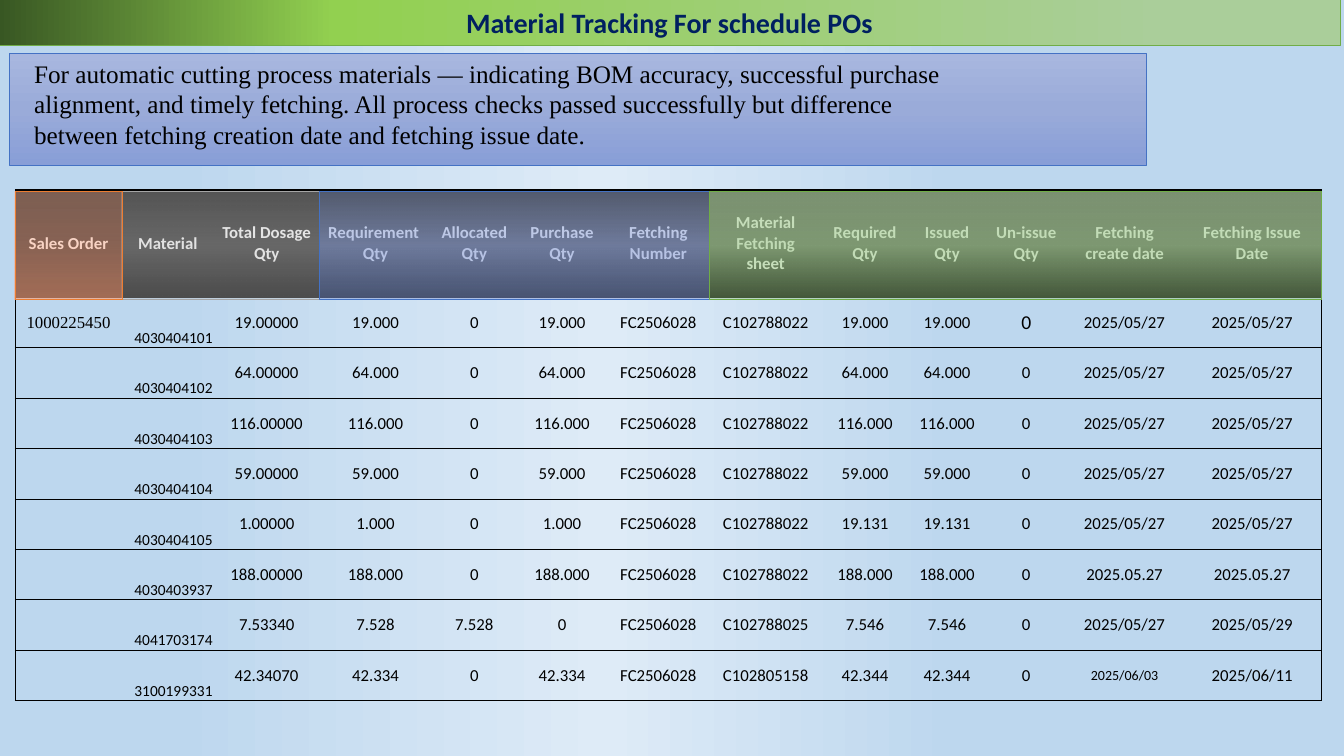
from dataclasses import dataclass

from lxml.etree import SubElement
from pptx import Presentation
from pptx.dml.color import RGBColor
from pptx.enum.shapes import MSO_SHAPE as Shape
from pptx.enum.text import MSO_ANCHOR as Anchor, PP_ALIGN as Align
from pptx.oxml.ns import qn
from pptx.util import Inches, Pt


@dataclass(frozen=True)
class Theme:
    sans: str = "Calibri"
    serif: str = "Times New Roman"
    black: str = "000000"
    white: str = "FFFFFF"
    navy: str = "002060"
    blue: str = "4472C4"
    green: str = "70AD47"
    orange: str = "ED7D31"
    gray: str = "A5A5A5"
    title_size: int = 20
    summary_size: int = 18
    table_size: int = 12
    material_size: int = 11
    line_width: float = 0.5
    # Gradient stops: position, colour, optional opacity in percent
    backdrop: tuple = ((29, "BDD7EE"), (55, "DEEBF7"), (87, "BDD7EE"))
    banner: tuple = ((13, "AACE9A"), (75, "92D050"), (100, "385723"))
    panel: tuple = ((0, "A8B7DF"), (50, "9AABD9"), (100, "889ED7"))
    gray_tint: tuple = ((0, "D2D2D2", 40), (50, "C8C8C8", 52), (100, "C0C0C0", 39))
    blue_tint: tuple = ((0, "A8B7DF", 49), (50, "9AABD9", 72), (100, "889ED7", 52))
    green_tint: tuple = ((0, "B5D5A7", 68), (50, "AACE9A", 74), (100, "9CC987", 42))
    orange_tint: tuple = ((0, "F7BDA5", 50), (50, "F5B196", 56), (100, "F8A582", 66))


THEME = Theme()

TITLE = "Material Tracking For schedule POs"
SUMMARY = (
    "For automatic cutting process materials — indicating BOM accuracy, successful "
    "purchase alignment, and timely fetching. All process checks passed successfully "
    "but difference between fetching creation date and fetching issue date."
)
HEADERS = [
    "Sales Order", "Material", "Total Dosage Qty", "Requirement \nQty", "Allocated Qty",
    "Purchase Qty", "Fetching Number", "Material Fetching sheet", "Required Qty",
    "Issued Qty", "Un-issue Qty", "Fetching create date", "Fetching Issue Date",
]
ORDERS = [
    ["1000225450", "4030404101", "19.00000", "19.000", "0", "19.000", "FC2506028",
     "C102788022", "19.000", "19.000", "0", "2025/05/27", "2025/05/27"],
    ["", "4030404102", "64.00000", "64.000", "0", "64.000", "FC2506028",
     "C102788022", "64.000", "64.000", "0", "2025/05/27", "2025/05/27"],
    ["", "4030404103", "116.00000", "116.000", "0", "116.000", "FC2506028",
     "C102788022", "116.000", "116.000", "0", "2025/05/27", "2025/05/27"],
    ["", "4030404104", "59.00000", "59.000", "0", "59.000", "FC2506028",
     "C102788022", "59.000", "59.000", "0", "2025/05/27", "2025/05/27"],
    ["", "4030404105", "1.00000", "1.000", "0", "1.000", "FC2506028",
     "C102788022", "19.131", "19.131", "0", "2025/05/27", "2025/05/27"],
    ["", "4030403937", "188.00000", "188.000", "0", "188.000", "FC2506028",
     "C102788022", "188.000", "188.000", "0", "2025.05.27", "2025.05.27"],
    ["", "4041703174", "7.53340", "7.528", "7.528", "0", "FC2506028",
     "C102788025", "7.546", "7.546", "0", "2025/05/27", "2025/05/29"],
    ["", "3100199331", "42.34070", "42.334", "0", "42.334", "FC2506028",
     "C102805158", "42.344", "42.344", "0", "2025/06/03", "2025/06/11"],
]
COLUMN_WIDTHS = [1.06, 0.91, 1.05, 1.11, 0.85, 0.89, 1.02, 1.11, 0.86, 0.77, 0.8, 1.15, 1.38]
HEADER_HEIGHT, ROW_HEIGHT = 1.07, 0.5
TABLE_LEFT, TABLE_TOP = 0.15, 1.88
MATERIAL_COLUMN = 1
SPECIAL_SIZES = {(1, 10): 14, (8, 11): 10}
# First column, column after the last, gradient, outline
HEADER_GROUPS = [
    (1, 3, THEME.gray_tint, THEME.gray),
    (3, 7, THEME.blue_tint, THEME.blue),
    (7, 13, THEME.green_tint, THEME.green),
    (0, 1, THEME.orange_tint, THEME.orange),
]


def set_attributes(target, values):
    for name, value in values.items():
        setattr(target, name, value)


def paint_gradient(fill, owner, stops, angle):
    """Fill with any number of stops; the angle runs clockwise in degrees."""
    fill.gradient()
    gradient = owner.find(".//" + qn("a:gradFill"))
    stop_list = gradient.find(qn("a:gsLst"))
    for stop in list(stop_list):
        stop_list.remove(stop)
    for position, color, *opacity in stops:
        stop = SubElement(stop_list, qn("a:gs"), pos=str(position * 1000))
        color_element = SubElement(stop, qn("a:srgbClr"), val=color)
        for percent in opacity:
            SubElement(color_element, qn("a:alpha"), val=str(percent * 1000))
    gradient.find(qn("a:lin")).set("ang", str(angle * 60000))


def style_box(shape, stops, angle, outline):
    paint_gradient(shape.fill, shape.element.spPr, stops, angle)
    shape.line.color.rgb = RGBColor.from_string(outline)
    shape.line.width = Pt(THEME.line_width)
    shape.shadow.inherit = False


def add_box(slide, box, stops, outline):
    shape = slide.shapes.add_shape(Shape.RECTANGLE, *map(Inches, box))
    style_box(shape, stops, 90, outline)


def write_text(frame, text, size, color, font=THEME.sans, bold=False, align=Align.CENTER):
    frame.text = text
    for paragraph in frame.paragraphs:
        paragraph.alignment = align
        set_attributes(paragraph.font, {"size": Pt(size), "name": font, "bold": bold})
        paragraph.font.color.rgb = RGBColor.from_string(color)


def set_borders(cell, visible):
    properties = cell._tc.get_or_add_tcPr()
    for side in "LRTB":
        border = SubElement(properties, qn(f"a:ln{side}"), w=str(Pt(THEME.line_width)))
        if side in visible:
            fill = SubElement(border, qn("a:solidFill"))
            SubElement(fill, qn("a:srgbClr"), val=THEME.black)
        else:
            SubElement(border, qn("a:noFill"))


def format_cell(cell, text, row, column):
    # Outer frame plus horizontal rules
    left = "L" if column == 0 else ""
    right = "R" if column == len(HEADERS) - 1 else ""
    set_borders(cell, "TB" + left + right)
    is_header = row == 0
    is_material = column == MATERIAL_COLUMN and not is_header
    if is_header:
        cell.fill.solid()
        cell.fill.fore_color.rgb = RGBColor.from_string(THEME.black)
    else:
        cell.fill.background()
    margin = Inches(0.01 if is_material else 0.08)
    set_attributes(cell, {"margin_left": margin, "margin_right": margin,
                          "vertical_anchor": Anchor.BOTTOM if is_material else Anchor.MIDDLE})
    if is_material:
        set_attributes(cell, {"margin_top": margin, "margin_bottom": 0})
    if text:
        size = THEME.material_size if is_material else THEME.table_size
        write_text(
            cell.text_frame, text, SPECIAL_SIZES.get((row, column), size),
            THEME.white if is_header else THEME.black,
            font=THEME.serif if column == 0 and not is_header else THEME.sans,
            bold=is_header, align=Align.RIGHT if is_material else Align.CENTER)


def add_order_table(slide):
    rows = [HEADERS, *ORDERS]
    height = HEADER_HEIGHT + ROW_HEIGHT * len(ORDERS)
    box = (TABLE_LEFT, TABLE_TOP, sum(COLUMN_WIDTHS), height)
    table = slide.shapes.add_table(len(rows), len(HEADERS), *map(Inches, box)).table
    set_attributes(table, {"first_row": False, "horz_banding": False})
    for column, width in zip(table.columns, COLUMN_WIDTHS):
        column.width = Inches(width)
    for row, texts in enumerate(rows):
        table.rows[row].height = Inches(ROW_HEIGHT if row else HEADER_HEIGHT)
        for column, text in enumerate(texts):
            format_cell(table.cell(row, column), text, row, column)


def add_header_tints(slide):
    for first, end, stops, outline in HEADER_GROUPS:
        left = TABLE_LEFT + sum(COLUMN_WIDTHS[:first])
        width = sum(COLUMN_WIDTHS[first:end])
        add_box(slide, (left, 1.9, width, HEADER_HEIGHT), stops, outline)


def add_title(slide):
    title = slide.shapes.title
    set_attributes(title, {"left": Inches(-0.01), "top": Inches(-0.01),
                           "width": Inches(13.3), "height": Inches(0.46)})
    style_box(title, THEME.banner, 180, THEME.green)
    title.text_frame.vertical_anchor = Anchor.MIDDLE
    write_text(title.text_frame, TITLE, THEME.title_size, THEME.navy, bold=True)


def add_summary(slide):
    add_box(slide, (0.09, 0.53, 11.28, 1.11), THEME.panel, THEME.blue)
    frame = slide.shapes.add_textbox(*map(Inches, (0.24, 0.53, 9.59, 1.01))).text_frame
    frame.word_wrap = True
    write_text(frame, SUMMARY, THEME.summary_size, THEME.black,
               font=THEME.serif, align=Align.LEFT)


def main():
    presentation = Presentation()
    set_attributes(presentation, {"slide_width": Inches(13.33), "slide_height": Inches(7.5)})
    slide = presentation.slides.add_slide(presentation.slide_layouts[5])
    paint_gradient(slide.background.fill, slide.element, THEME.backdrop, 180)
    add_order_table(slide)
    add_header_tints(slide)
    add_title(slide)
    add_summary(slide)
    presentation.save("out.pptx")


if __name__ == "__main__":
    main()
